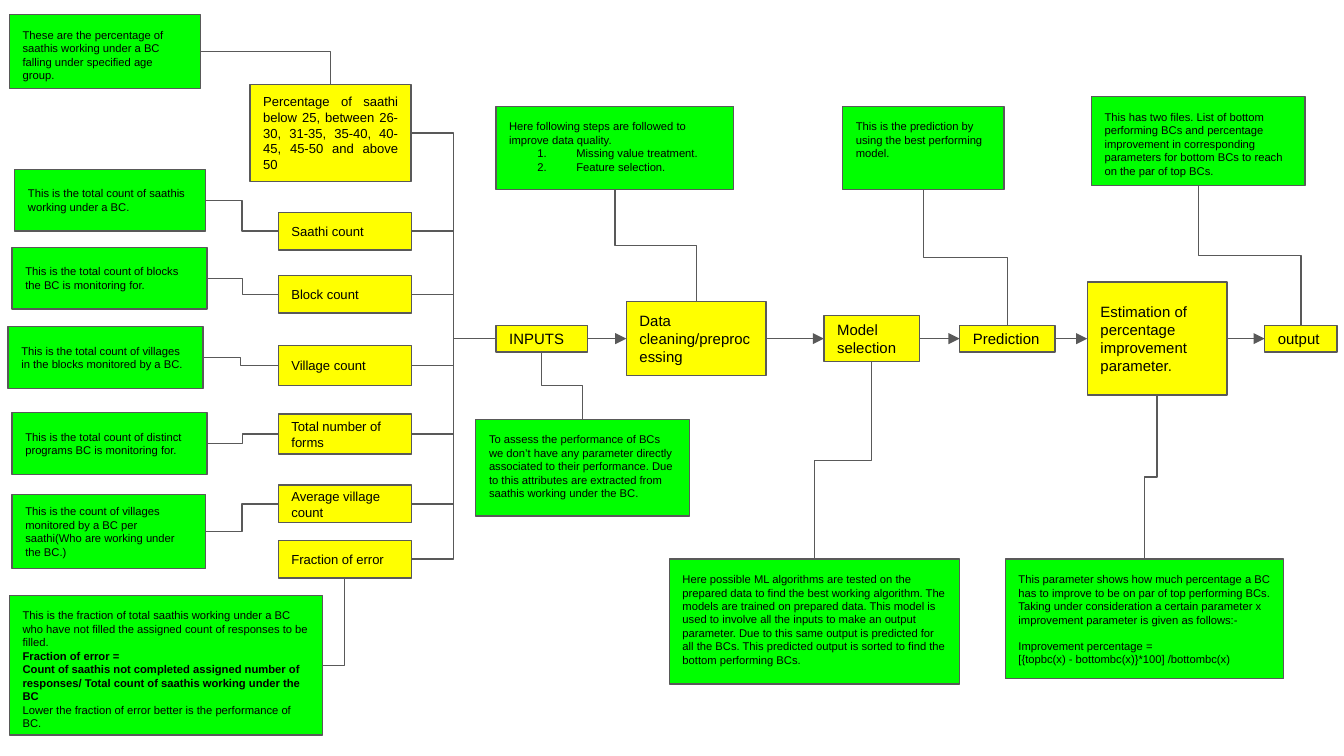
from lxml import etree
from pptx import Presentation
from pptx.dml.color import RGBColor
from pptx.enum.shapes import MSO_CONNECTOR, MSO_SHAPE
from pptx.enum.text import MSO_ANCHOR, PP_ALIGN
from pptx.oxml.ns import qn
from pptx.util import Inches, Pt

RECTANGLE = MSO_SHAPE.RECTANGLE
STRAIGHT, ELBOW = MSO_CONNECTOR.STRAIGHT, MSO_CONNECTOR.ELBOW
MIDDLE, TOP_ANCHOR = MSO_ANCHOR.MIDDLE, MSO_ANCHOR.TOP
LEFT_ALIGN, JUSTIFY = PP_ALIGN.LEFT, PP_ALIGN.JUSTIFY
TOP, LEFT, BOTTOM, RIGHT = range(4)  # connection sites of a rectangle
YELLOW, GREEN, GREY, BLACK = "FFFF00", "00FF00", "595959", "000000"

presentation = Presentation()
presentation.slide_width = Inches(10)
presentation.slide_height = Inches(10) * 9 // 16
slide = presentation.slides.add_slide(presentation.slide_layouts[6])


def add_box(place, fill, size, paragraphs, anchor=MIDDLE):
    """Add a bordered box; each paragraph is a (text, style) pair."""
    shape = slide.shapes.add_shape(RECTANGLE, *map(Inches, place))
    shape.shadow.inherit = False
    shape.fill.solid()
    shape.fill.fore_color.rgb = RGBColor.from_string(fill)
    shape.line.color.rgb = RGBColor.from_string(GREY)
    shape.line.width = Pt(0.75)
    frame = shape.text_frame
    frame.word_wrap = True
    frame.vertical_anchor = anchor
    frame.margin_left = frame.margin_right = Inches(0.1)
    frame.margin_top = frame.margin_bottom = Inches(0.1)
    for index, (text, style) in enumerate(paragraphs):
        paragraph = frame.add_paragraph() if index else frame.paragraphs[0]
        paragraph.alignment = JUSTIFY if style == "justified" else LEFT_ALIGN
        if style == "spaced":
            paragraph.space_before = Pt(7)
        if style == "numbered":
            properties = paragraph._p.get_or_add_pPr()
            properties.set("marL", str(Inches(0.5)))
            properties.set("indent", str(Inches(-0.29)))
            etree.SubElement(properties, qn("a:buAutoNum"), type="arabicPeriod")
        run = paragraph.add_run()
        run.text = text
        run.font.name = "Arial"
        run.font.size = Pt(size)
        run.font.bold = style == "bold"
        run.font.color.rgb = RGBColor.from_string(BLACK)
    return shape


def connect(start, start_site, end, end_site, kind=ELBOW):
    """Glue a grey connector between sites of two boxes."""
    connector = slide.shapes.add_connector(kind, 0, 0, 0, 0)
    connector.begin_connect(start, start_site)
    connector.end_connect(end, end_site)
    connector.line.color.rgb = RGBColor.from_string(GREY)
    connector.line.width = Pt(0.75)
    properties = connector._element.spPr
    etree.SubElement(properties, qn("a:effectLst"))
    if kind == STRAIGHT:
        line = properties.find(qn("a:ln"))
        etree.SubElement(line, qn("a:tailEnd"), type="triangle")
    elif start_site == BOTTOM:
        # A vertical elbow is a horizontal one turned about its centre.
        x1, y1 = connector.begin_x, connector.begin_y
        x2, y2 = connector.end_x, connector.end_y
        center_x, center_y = (x1 + x2) // 2, (y1 + y2) // 2
        half_width, half_height = (y2 - y1) // 2, abs(x2 - x1) // 2
        side = 1 if x2 > x1 else -1
        connector.begin_x = center_x + side * half_width
        connector.end_x = center_x - side * half_width
        connector.begin_y = center_y - half_height
        connector.end_y = center_y + half_height
        connector.rotation = 270 if x2 > x1 else 90
    elif end_site in (TOP, BOTTOM):
        properties.find(qn("a:prstGeom")).set("prst", "bentConnector2")
    return connector


# Main flow, left to right: left, width, height, label
flow_middle = 2.52
flow = {}
for name, left, width, height, label in [
    ("inputs", 3.69, 0.68, 0.2, "INPUTS"),
    ("cleaning", 4.66, 1.04, 0.55, "Data cleaning/preprocessing"),
    ("model", 6.13, 0.71, 0.34, "Model selection"),
    ("prediction", 7.14, 0.71, 0.2, "Prediction"),
    ("estimation", 8.09, 1.04, 0.84, "Estimation of percentage improvement parameter."),
    ("output", 9.41, 0.54, 0.2, "output"),
]:
    place = (left, flow_middle - height / 2, width, height)
    flow[name] = add_box(place, YELLOW, 8, [(label, "")])
steps = list(flow.values())
for step, next_step in zip(steps, steps[1:]):
    connect(step, RIGHT, next_step, LEFT, STRAIGHT)

# Input parameters with their explanations
age_text = "Percentage of saathi below 25, between 26-30, 31-35, 35-40, 40-45, 45-50 and above 50"
ages = add_box((1.86, 0.63, 1.2, 0.72), YELLOW, 7, [(age_text, "justified")])
connect(ages, RIGHT, flow["inputs"], LEFT)
ages_note = add_box((0.07, 0.11, 1.42, 0.55), GREEN, 6, [
    ("These are the percentage of saathis working under a BC "
     "falling under specified age group.", "")], TOP_ANCHOR)
connect(ages_note, RIGHT, ages, TOP)

for top, height, label, note_place, note_text in [
    (1.58, 0.28, "Saathi count", (0.11, 1.26, 1.42, 0.46),
     "This is the total count of saathis working under a BC."),
    (2.05, 0.28, "Block count", (0.09, 1.84, 1.45, 0.46),
     "This is the total count of blocks the BC is monitoring for. "),
    (2.57, 0.3, "Village count", (0.06, 2.43, 1.45, 0.46),
     "This is the total count of villages in the blocks monitored by a BC."),
    (3.08, 0.3, "Total number of forms", (0.09, 3.07, 1.45, 0.46),
     "This is the total count of distinct programs BC is monitoring for. "),
    (3.61, 0.28, "Average village count", (0.09, 3.68, 1.44, 0.55),
     "This is the count of villages monitored by a BC per "
     "saathi(Who are working under the BC.)"),
    (4.02, 0.28, "Fraction of error", None, ""),
]:
    parameter = add_box((2.07, top, 0.99, height), YELLOW, 7, [(label, "")])
    connect(parameter, RIGHT, flow["inputs"], LEFT)
    if note_place:
        note = add_box(note_place, GREEN, 6, [(note_text, "")])
        connect(note, RIGHT, parameter, LEFT)

# The last parameter is the fraction of error
error_note = add_box((0.07, 4.43, 2.33, 1.04), GREEN, 6, [
    ("This is the fraction of total saathis working under a BC who have not "
     "filled the assigned count of responses to be filled.", ""),
    ("Fraction of error = ", "bold"),
    ("Count of saathis not completed assigned number of responses/ "
     "Total count of saathis working under the BC ", "bold"),
    ("Lower the fraction of error better is the performance of BC.", ""),
], TOP_ANCHOR)
connect(error_note, RIGHT, parameter, BOTTOM)

# Explanations above and below the main flow
for name, is_above, place, paragraphs in [
    ("cleaning", True, (3.69, 0.79, 1.77, 0.62), [
        ("Here following steps are followed to improve data quality.", ""),
        ("Missing value treatment.", "numbered"),
        ("Feature selection.", "numbered")]),
    ("prediction", True, (6.27, 0.79, 1.2, 0.62), [
        ("This is the prediction by using the best performing model. ", "")]),
    ("output", True, (8.12, 0.72, 1.59, 0.66), [
        ("This has two files. List of bottom performing BCs and percentage "
         "improvement in corresponding parameters for bottom BCs to reach on "
         "the par of top BCs.", "")]),
    ("inputs", False, (3.54, 3.12, 1.59, 0.72), [
        ("To assess the performance of BCs we don’t have any parameter "
         "directly associated to their performance. Due to this attributes "
         "are extracted from saathis working under the BC.", "")]),
    ("model", False, (4.98, 4.16, 2.16, 0.93), [
        ("Here possible ML algorithms are tested on the prepared data to find "
         "the best working algorithm. The models are trained on prepared data. "
         "This model is used to involve all the inputs to make an output "
         "parameter. Due to this same output is predicted for all the BCs. "
         "This predicted output is sorted to find the bottom performing BCs.", "")]),
    ("estimation", False, (7.48, 4.16, 2.07, 0.89), [
        ("This parameter shows how much percentage a BC has to improve to be "
         "on par of top performing BCs. Taking under consideration a certain "
         "parameter x improvement parameter is given as follows:- ", ""),
        ("Improvement percentage = ", "spaced"),
        ("[{topbc(x) - bottombc(x)}*100] /bottombc(x)", "")]),
]:
    note = add_box(place, GREEN, 6, paragraphs, TOP_ANCHOR)
    upper, lower = (note, flow[name]) if is_above else (flow[name], note)
    connect(upper, BOTTOM, lower, TOP)

presentation.save("out.pptx")
